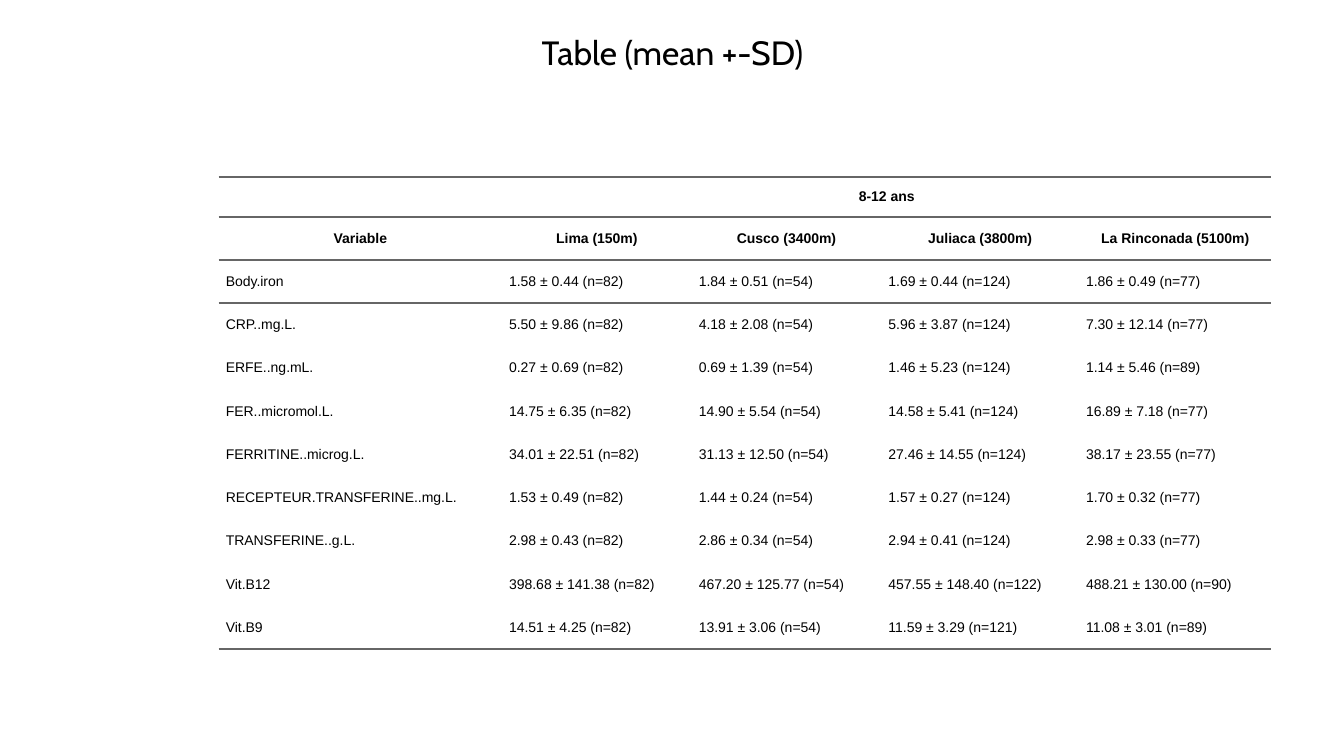
from lxml import etree
from pptx import Presentation
from pptx.dml.color import RGBColor
from pptx.enum.text import MSO_ANCHOR, PP_ALIGN
from pptx.oxml.ns import qn
from pptx.util import Cm, Pt

BLACK = RGBColor(0x00, 0x00, 0x00)
GREY = RGBColor(0x66, 0x66, 0x66)
MIDDLE = MSO_ANCHOR.MIDDLE
CENTER, LEFT = PP_ALIGN.CENTER, PP_ALIGN.LEFT

TITLE_FONT = {"name": "Cabin", "size": Pt(24)}
HEAD_FONT = {"name": "Arial", "size": Pt(10), "bold": True}
BODY_FONT = {"name": "Arial", "size": Pt(10), "bold": False}
PLAIN_STYLE = "{2D5ABB26-0587-4C30-8999-92F81FD0307C}"
RULE_WIDTH = Pt(1.5)
INDENT = Cm(0.18)

COL_WIDTHS = [7.14, 4.78, 4.78, 4.98, 4.85]
TOP_ROW, ROW = 1.01, 1.09
HEAD_ROWS = 2
ROWS = [
    ["", "8-12 ans", "", "", ""],
    ["Variable", "Lima (150m)", "Cusco (3400m)", "Juliaca (3800m)", "La Rinconada (5100m)"],
    ["Body.iron", "1.58 ± 0.44 (n=82)", "1.84 ± 0.51 (n=54)",
     "1.69 ± 0.44 (n=124)", "1.86 ± 0.49 (n=77)"],
    ["CRP..mg.L.", "5.50 ± 9.86 (n=82)", "4.18 ± 2.08 (n=54)",
     "5.96 ± 3.87 (n=124)", "7.30 ± 12.14 (n=77)"],
    ["ERFE..ng.mL.", "0.27 ± 0.69 (n=82)", "0.69 ± 1.39 (n=54)",
     "1.46 ± 5.23 (n=124)", "1.14 ± 5.46 (n=89)"],
    ["FER..micromol.L.", "14.75 ± 6.35 (n=82)", "14.90 ± 5.54 (n=54)",
     "14.58 ± 5.41 (n=124)", "16.89 ± 7.18 (n=77)"],
    ["FERRITINE..microg.L.", "34.01 ± 22.51 (n=82)", "31.13 ± 12.50 (n=54)",
     "27.46 ± 14.55 (n=124)", "38.17 ± 23.55 (n=77)"],
    ["RECEPTEUR.TRANSFERINE..mg.L.", "1.53 ± 0.49 (n=82)", "1.44 ± 0.24 (n=54)",
     "1.57 ± 0.27 (n=124)", "1.70 ± 0.32 (n=77)"],
    ["TRANSFERINE..g.L.", "2.98 ± 0.43 (n=82)", "2.86 ± 0.34 (n=54)",
     "2.94 ± 0.41 (n=124)", "2.98 ± 0.33 (n=77)"],
    ["Vit.B12", "398.68 ± 141.38 (n=82)", "467.20 ± 125.77 (n=54)",
     "457.55 ± 148.40 (n=122)", "488.21 ± 130.00 (n=90)"],
    ["Vit.B9", "14.51 ± 4.25 (n=82)", "13.91 ± 3.06 (n=54)",
     "11.59 ± 3.29 (n=121)", "11.08 ± 3.01 (n=89)"],
]


def set_attrs(obj, values):
    for name, value in values.items():
        setattr(obj, name, value)


def add_text(p, text, font, align):
    p.alignment = align
    r = p.add_run()
    r.text = text
    set_attrs(r.font, font)
    r.font.color.rgb = BLACK


def add_rule(cell, side):
    tcPr = cell._tc.get_or_add_tcPr()
    ln = etree.SubElement(tcPr, qn(f"a:ln{side}"), w=str(RULE_WIDTH))
    fill = etree.SubElement(ln, qn("a:solidFill"))
    etree.SubElement(fill, qn("a:srgbClr"), val=str(GREY))


def fill_cell(cell, text, is_head):
    cell.vertical_anchor = MIDDLE
    pad = Cm(0.18) if text else 0
    set_attrs(cell, {"margin_left": 0, "margin_right": 0,
                     "margin_top": pad, "margin_bottom": pad})
    cell.fill.background()
    if text:
        p = cell.text_frame.paragraphs[0]
        pPr = p._p.get_or_add_pPr()
        for side in ("marL", "marR"):
            pPr.set(side, str(INDENT))
        add_text(p, text, HEAD_FONT if is_head else BODY_FONT,
                 CENTER if is_head else LEFT)


def add_title(s, left, top, width, height):
    tf = s.shapes.add_textbox(left, top, width, height).text_frame
    tf.word_wrap = True
    tf.vertical_anchor = MIDDLE
    p = tf.paragraphs[0]
    p.line_spacing = 0.9
    add_text(p, "Table (mean +-SD)", TITLE_FONT, CENTER)


def add_results(s, left, top, width, height):
    table = s.shapes.add_table(len(ROWS), len(COL_WIDTHS), left, top, width, height).table
    set_attrs(table, {"first_row": False, "horz_banding": False})
    table._tbl.tblPr.find(qn("a:tableStyleId")).text = PLAIN_STYLE
    for col, col_width in zip(table.columns, COL_WIDTHS):
        col.width = Cm(col_width)
    for i, texts in enumerate(ROWS):
        table.rows[i].height = Cm(ROW if i else TOP_ROW)
        for j, text in enumerate(texts):
            cell = table.cell(i, j)
            # Rules around the head rows and under the last row
            if i <= HEAD_ROWS:
                add_rule(cell, "T")
            if i < HEAD_ROWS or i == len(ROWS) - 1:
                add_rule(cell, "B")
            fill_cell(cell, text, i < HEAD_ROWS)
    # Age group spans the four towns
    table.cell(0, 1).merge(table.cell(0, len(COL_WIDTHS) - 1))


def main():
    prs = Presentation()
    prs.slide_width, prs.slide_height = Cm(33.87), Cm(19.05)
    s = prs.slides.add_slide(prs.slide_layouts[6])
    add_results(s, Cm(5.51), Cm(4.45), Cm(sum(COL_WIDTHS)),
                Cm(TOP_ROW + ROW * (len(ROWS) - 1)))
    add_title(s, Cm(1.17), Cm(-0.46), Cm(31.55), Cm(3.68))
    prs.save("out.pptx")


if __name__ == "__main__":
    main()
